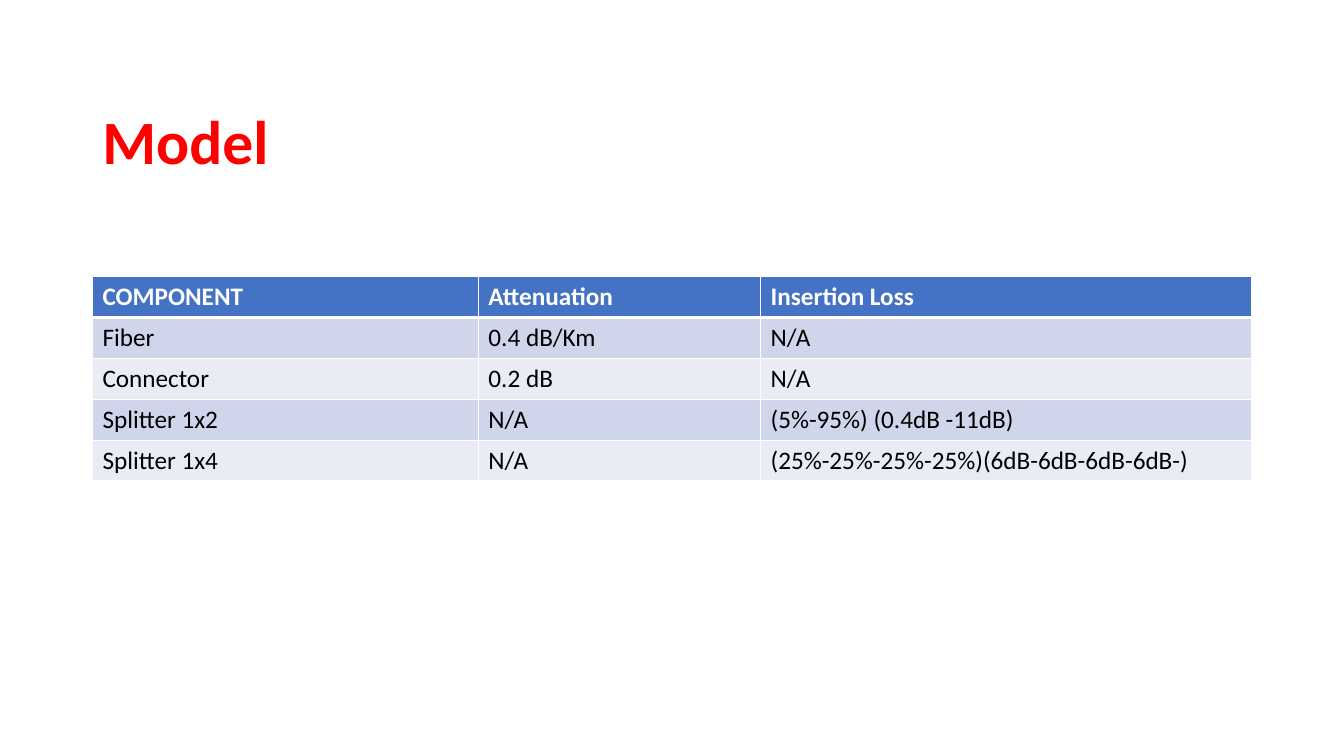
from lxml import etree
from pptx import Presentation
from pptx.dml.color import RGBColor
from pptx.enum.text import MSO_ANCHOR
from pptx.oxml.ns import qn
from pptx.util import Cm, Pt

MIDDLE = MSO_ANCHOR.MIDDLE
RED = RGBColor(0xFF, 0x00, 0x00)
WHITE = RGBColor(0xFF, 0xFF, 0xFF)
BLACK = RGBColor(0x00, 0x00, 0x00)
HEADER_BLUE = RGBColor(0x44, 0x72, 0xC4)
BANDS = (RGBColor(0xE9, 0xEB, 0xF5), RGBColor(0xCF, 0xD5, 0xEA))
FONT = "Calibri"

ROWS = [
    ("COMPONENT", "Attenuation", "Insertion Loss"),
    ("Fiber", "0.4 dB/Km", "N/A"),
    ("Connector", "0.2 dB", "N/A"),
    ("Splitter 1x2", "N/A", "(5%-95%) (0.4dB -11dB)"),
    ("Splitter 1x4", "N/A", "(25%-25%-25%-25%)(6dB-6dB-6dB-6dB-)"),
]
COL_SHARES = (0.333, 0.2435, 0.4235)


def add_run(p, text, size, color, bold):
    r = p.add_run()
    r.text = text
    r.font.name = FONT
    r.font.size = Pt(size)
    r.font.bold = bold
    r.font.color.rgb = color


def set_borders(cell, widths):
    """Draw white borders; widths maps L, R, T, B to points, in that order."""
    tc_pr = cell._tc.get_or_add_tcPr()
    for side, width in widths.items():
        ln = etree.SubElement(tc_pr, qn("a:ln" + side), w=str(Pt(width)))
        fill = etree.SubElement(ln, qn("a:solidFill"))
        etree.SubElement(fill, qn("a:srgbClr"), val=str(WHITE))


def add_title(slide, left, top, width, height):
    tf = slide.shapes.add_textbox(left, top, width, height).text_frame
    tf.word_wrap = True
    tf.vertical_anchor = MIDDLE
    p = tf.paragraphs[0]
    p.line_spacing = 0.9
    add_run(p, "Model", 44, RED, True)


def add_component_table(slide, left, top, width, height):
    table = slide.shapes.add_table(
        len(ROWS), len(COL_SHARES), left, top, width, height).table
    for col, share in zip(table.columns, COL_SHARES):
        col.width = int(width * share)
    for i, row in enumerate(ROWS):
        header = i == 0
        # A thick rule separates the header from the body
        widths = {"L": 1, "R": 1, "T": 3 if i == 1 else 1, "B": 3 if header else 1}
        for j, text in enumerate(row):
            cell = table.cell(i, j)
            set_borders(cell, widths)
            cell.fill.solid()
            cell.fill.fore_color.rgb = HEADER_BLUE if header else BANDS[i % 2]
            add_run(cell.text_frame.paragraphs[0], text, 18,
                    WHITE if header else BLACK, header)


def main():
    prs = Presentation()
    prs.slide_width, prs.slide_height = Cm(33.87), Cm(19.05)
    slide = prs.slides.add_slide(prs.slide_layouts[6])
    left, width = Cm(2.33), Cm(29.21)
    add_title(slide, left, Cm(2.49), width, Cm(2.31))
    add_component_table(slide, left, Cm(6.97), width, Cm(5.15))
    prs.save("out.pptx")


if __name__ == "__main__":
    main()
